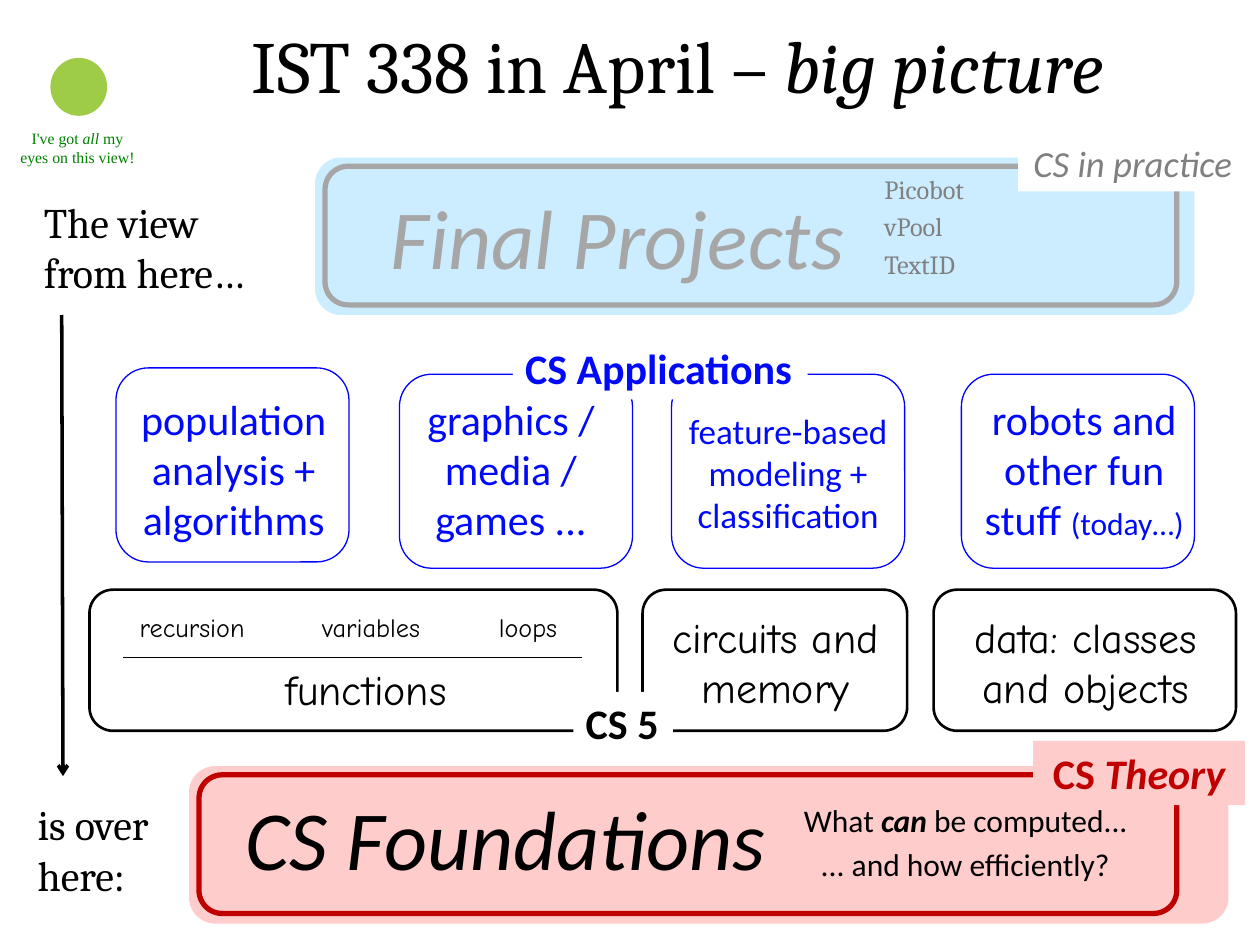
from dataclasses import dataclass
from typing import NamedTuple, Optional

from lxml.etree import SubElement
from pptx import Presentation
from pptx.dml.color import RGBColor
from pptx.enum.shapes import MSO_CONNECTOR as Connector, MSO_SHAPE as Shape
from pptx.enum.text import MSO_ANCHOR as Anchor, MSO_AUTO_SIZE as AutoSize, PP_ALIGN as Align
from pptx.oxml.ns import qn
from pptx.util import Emu, Pt

PX = 9144


@dataclass(frozen=True)
class Theme:
    sans: str = "Calibri"
    serif: str = "Cambria"
    hand: str = "Comic Neue"
    speech: str = "Times New Roman"
    black: str = "000000"
    white: str = "FFFFFF"
    blue: str = "000AF9"
    outline_blue: str = "0000FF"
    red: str = "C00000"
    pink: str = "FFCCCC"
    sky: str = "CCECFF"
    silver: str = "A6A6A6"
    gray: str = "808080"
    green: str = "008000"
    mascot: str = "9ECC46"
    title: int = 42
    banner: int = 48
    body: int = 24
    practice: int = 21
    compact: int = 20
    note: int = 18
    detail: int = 15
    tiny: int = 9


THEME = Theme()


class Area(NamedTuple):
    left: int
    top: int
    width: int
    height: int


class Style(NamedTuple):
    font: str
    size: int
    color: str


class Span(NamedTuple):
    text: str
    bold: bool = False
    italic: bool = False
    size: Optional[int] = None


@dataclass(frozen=True)
class Panel:
    area: Area
    fill: Optional[str] = None
    line: Optional[str] = None
    weight: float = 0
    shape: Shape = Shape.ROUNDED_RECTANGLE


@dataclass(frozen=True)
class Caption:
    area: Area
    style: Style
    lines: tuple[tuple[Span, ...], ...]
    align: Align = Align.CENTER
    wrap: bool = True
    fill: Optional[str] = None
    line_height: Optional[int] = None


@dataclass(frozen=True)
class Stroke:
    start: tuple[int, int]
    end: tuple[int, int]
    weight: float
    arrow: bool = False


def rgb(color: str) -> RGBColor:
    return RGBColor.from_string(color)


def scaled(area: Area) -> list[Emu]:
    return [Emu(length * PX) for length in area]


def draw_panel(page, panel: Panel) -> None:
    shape = page.shapes.add_shape(panel.shape, *scaled(panel.area))
    shape.shadow.inherit = False
    if panel.fill:
        shape.fill.solid()
        shape.fill.fore_color.rgb = rgb(panel.fill)
    else:
        shape.fill.background()
    if panel.line:
        shape.line.color.rgb = rgb(panel.line)
        shape.line.width = Pt(panel.weight)
    else:
        shape.line.fill.background()


def write_caption(box, caption: Caption) -> None:
    box.left, box.top, box.width, box.height = scaled(caption.area)
    if caption.fill:
        box.fill.solid()
        box.fill.fore_color.rgb = rgb(caption.fill)
    frame = box.text_frame
    frame.word_wrap = caption.wrap
    frame.auto_size = AutoSize.SHAPE_TO_FIT_TEXT
    frame.vertical_anchor = Anchor.TOP
    for index, line in enumerate(caption.lines):
        para = frame.add_paragraph() if index else frame.paragraphs[0]
        para.alignment = caption.align
        if index:
            para.space_before = Pt(caption.style.size / 2)
        if caption.line_height:
            para.line_spacing = Pt(caption.line_height)
        for span in line:
            run = para.add_run()
            run.text = span.text
            run.font.name = caption.style.font
            run.font.size = Pt(span.size or caption.style.size)
            run.font.color.rgb = rgb(caption.style.color)
            run.font.bold, run.font.italic = span.bold, span.italic


def draw_caption(page, caption: Caption) -> None:
    write_caption(page.shapes.add_textbox(*scaled(caption.area)), caption)


def draw_stroke(page, stroke: Stroke) -> None:
    ends = [Emu(length * PX) for length in stroke.start + stroke.end]
    connector = page.shapes.add_connector(Connector.STRAIGHT, *ends)
    connector.line.color.rgb = rgb(THEME.black)
    connector.line.width = Pt(stroke.weight)
    if stroke.arrow:
        SubElement(connector.line._get_or_add_ln(), qn("a:tailEnd"), type="arrow")
    SubElement(connector._element.spPr, qn("a:effectLst"))


def plain(text: str) -> tuple[tuple[Span, ...], ...]:
    return ((Span(text),),)


BLUE_BODY = Style(THEME.sans, THEME.body, THEME.blue)
BLUE_COMPACT = Style(THEME.sans, THEME.compact, THEME.blue)
BLACK_BODY = Style(THEME.sans, THEME.body, THEME.black)
RED_BODY = Style(THEME.sans, THEME.body, THEME.red)
BLACK_NOTE = Style(THEME.sans, THEME.note, THEME.black)
HAND_BODY = Style(THEME.hand, THEME.body, THEME.black)
HAND_DETAIL = Style(THEME.hand, THEME.detail, THEME.black)
VIEW = Style(THEME.serif, THEME.body, THEME.black)

TITLE = Caption(Area(142, 11, 792, 81), Style(THEME.serif, THEME.title, THEME.black),
                ((Span("IST 338 in April – "), Span("big picture", italic=True)),))

PANELS = [
    Panel(Area(150, 608, 825, 125), fill=THEME.pink),
    Panel(Area(158, 615, 776, 110), line=THEME.red, weight=3),
    Panel(Area(250, 125, 698, 125), fill=THEME.sky),
    Panel(Area(258, 132, 676, 110), line=THEME.silver, weight=3),
    *(Panel(Area(left, top, 185, 154), line=THEME.outline_blue, weight=0.75)
      for left, top in ((92, 292), (317, 297), (533, 297), (763, 297))),
    *(Panel(Area(left, 468, width, 112), line=THEME.black, weight=1.5)
      for left, width in ((71, 419), (510, 210), (741, 240))),
    Panel(Area(40, 46, 45, 46), fill=THEME.mascot, shape=Shape.OVAL),
]

CAPTIONS = [
    Caption(Area(3, 97, 117, 40), Style(THEME.speech, THEME.tiny, THEME.green),
            ((Span("I've got "), Span("all ", italic=True), Span("my eyes on this view!")),)),
    Caption(Area(25, 151, 207, 91), VIEW, plain("The view from here…"), Align.LEFT),
    Caption(Area(20, 629, 176, 91), VIEW, plain("is over here:"), Align.LEFT),
    Caption(Area(298, 142, 384, 91), Style(THEME.sans, THEME.banner, THEME.silver),
            ((Span("Final Projects", italic=True),),), wrap=False),
    Caption(Area(692, 138, 88, 94), Style(THEME.serif, THEME.detail, THEME.gray),
            tuple((Span(name),) for name in ("Picobot", "vPool", "TextID")),
            Align.LEFT, wrap=False, line_height=14),
    Caption(Area(100, 307, 171, 131), BLUE_BODY, plain("population analysis + algorithms")),
    Caption(Area(320, 307, 171, 131), BLUE_BODY, plain("graphics / media / games ...")),
    Caption(Area(535, 320, 181, 111), BLUE_COMPACT,
            plain("feature-based modeling + classification")),
    Caption(Area(760, 307, 201, 131), BLUE_BODY,
            ((Span("robots and other fun stuff "), Span("(today…)", size=THEME.note)),)),
    *(Caption(Area(left, 480, width, 35), HAND_DETAIL, plain(topic))
      for topic, left, width in
      (("recursion", 90, 125), ("variables", 232, 125), ("loops", 373, 92))),
    Caption(Area(190, 522, 201, 51), HAND_BODY, plain("functions")),
    Caption(Area(490, 480, 251, 91), HAND_BODY, plain("circuits and memory")),
    Caption(Area(748, 480, 227, 91), HAND_BODY, plain("data: classes and objects")),
    Caption(Area(175, 619, 453, 91), Style(THEME.sans, THEME.banner, THEME.black),
            ((Span("CS Foundations", italic=True),),), wrap=False),
    Caption(Area(627, 631, 279, 40), BLACK_NOTE,
            ((Span("What "), Span("can ", bold=True, italic=True), Span("be computed...")),),
            wrap=False),
    Caption(Area(640, 666, 252, 40), BLACK_NOTE, plain("... and how efficiently?"), wrap=False),
    Caption(Area(808, 107, 182, 45), Style(THEME.sans, THEME.practice, THEME.gray),
            ((Span("CS in practice", italic=True),),), fill=THEME.white),
    Caption(Area(407, 267, 234, 50), BLUE_BODY, ((Span("CS Applications", bold=True),),),
            Align.LEFT, wrap=False, fill=THEME.white),
    Caption(Area(455, 549, 79, 51), BLACK_BODY, ((Span("CS 5", bold=True),),),
            Align.LEFT, wrap=False, fill=THEME.white),
    Caption(Area(820, 588, 168, 51), RED_BODY,
            ((Span("CS ", bold=True), Span("Theory", bold=True, italic=True)),),
            fill=THEME.pink),
]

STROKES = [
    Stroke((98, 522), (462, 522), 0.75),
    Stroke((49, 250), (50, 616), 2, arrow=True),
]


def main() -> None:
    deck = Presentation()
    deck.slide_width, deck.slide_height = Emu(1000 * PX), Emu(750 * PX)
    page = deck.slides.add_slide(deck.slide_layouts[5])
    write_caption(page.shapes.title, TITLE)
    for panel in PANELS:
        draw_panel(page, panel)
    for stroke in STROKES:
        draw_stroke(page, stroke)
    for caption in CAPTIONS:
        draw_caption(page, caption)
    deck.save("out.pptx")


if __name__ == "__main__":
    main()
